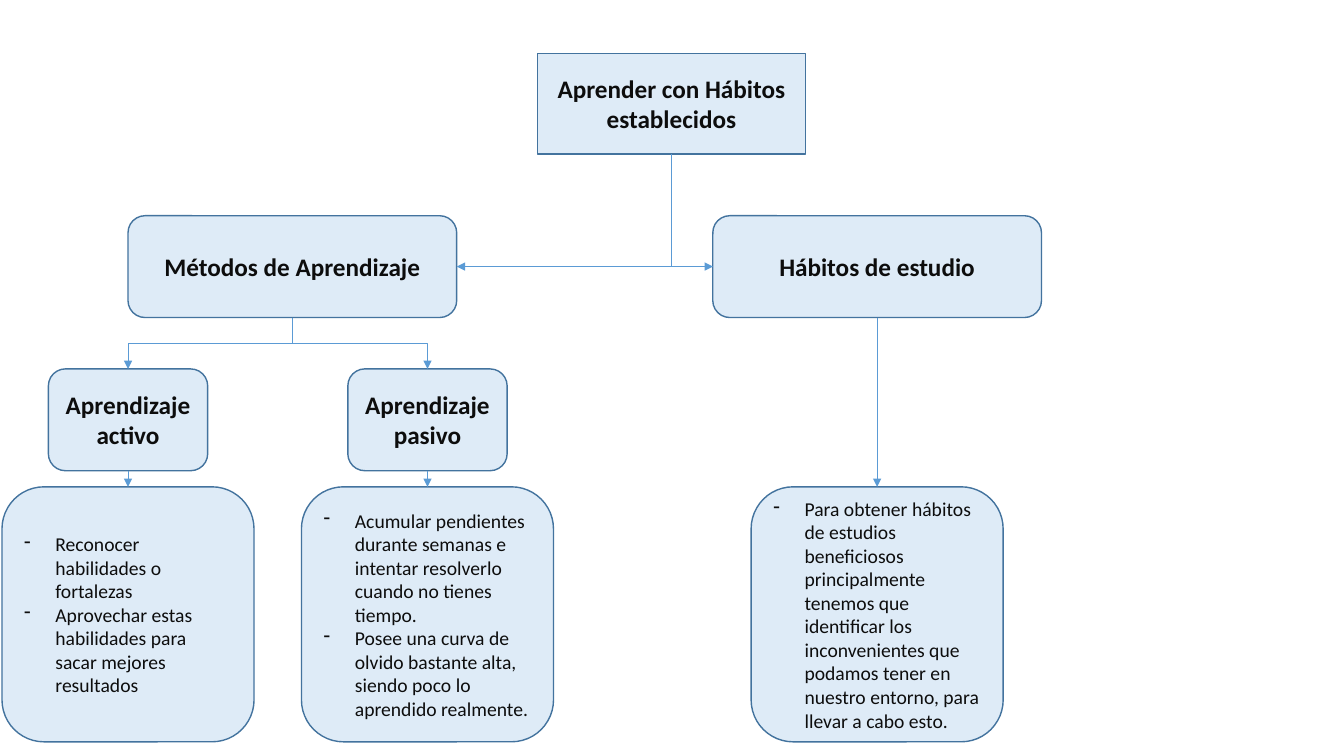
from dataclasses import dataclass

from lxml import etree
from pptx import Presentation
from pptx.dml.color import RGBColor
from pptx.enum.shapes import MSO_CONNECTOR, MSO_SHAPE
from pptx.enum.text import MSO_ANCHOR, PP_ALIGN
from pptx.oxml.ns import qn
from pptx.util import Inches, Pt

RECT, ROUNDED = MSO_SHAPE.RECTANGLE, MSO_SHAPE.ROUNDED_RECTANGLE
STRAIGHT, ELBOW = MSO_CONNECTOR.STRAIGHT, MSO_CONNECTOR.ELBOW
MIDDLE, CENTER, LEFT = MSO_ANCHOR.MIDDLE, PP_ALIGN.CENTER, PP_ALIGN.LEFT


@dataclass(frozen=True)
class Theme:
    font: str = "Calibri"
    text: RGBColor = RGBColor(0x0D, 0x0D, 0x0D)
    fill: RGBColor = RGBColor(0xDE, 0xEB, 0xF7)
    border: RGBColor = RGBColor(0x43, 0x73, 0x9E)
    arrow: RGBColor = RGBColor(0x5B, 0x9B, 0xD5)
    heading_size: int = 18
    detail_size: int = 14
    border_width: float = 1
    arrow_width: float = 0.5
    indent: float = 0.31


THEME = Theme()
SLIDE_WIDTH, SLIDE_HEIGHT = 13.33, 7.5

# level: top, width, height, outline
LEVELS = {
    "root": (0.53, 2.66, 1.0, RECT),
    "branch": (2.14, 3.26, 1.01, ROUNDED),
    "type": (3.66, 1.58, 1.01, ROUNDED),
    "detail": (4.83, 2.5, 2.53, ROUNDED),
}
COLUMNS = {"active": 1.27, "methods": 2.9, "passive": 4.24, "root": 6.66, "habits": 8.7}

NODES = {
    ("root", "root"): ["Aprender con Hábitos establecidos"],
    ("branch", "methods"): ["Métodos de Aprendizaje"],
    ("branch", "habits"): ["Hábitos de estudio"],
    ("type", "active"): ["Aprendizaje activo"],
    ("type", "passive"): ["Aprendizaje pasivo"],
    ("detail", "active"): [
        "Reconocer habilidades o fortalezas",
        "Aprovechar estas habilidades para sacar mejores resultados",
    ],
    ("detail", "passive"): [
        "Acumular pendientes durante semanas e intentar resolverlo cuando no tienes tiempo.",
        "Posee una curva de olvido bastante alta, siendo poco lo aprendido realmente.",
    ],
    ("detail", "habits"): [
        "Para obtener hábitos de estudios beneficiosos principalmente tenemos que "
        "identificar los inconvenientes que podamos tener en nuestro entorno, para "
        "llevar a cabo esto.",
    ],
}
LINKS = [
    (("root", "root"), ("branch", "methods")),
    (("root", "root"), ("branch", "habits")),
    (("branch", "methods"), ("type", "active")),
    (("branch", "methods"), ("type", "passive")),
    (("type", "active"), ("detail", "active")),
    (("type", "passive"), ("detail", "passive")),
    (("branch", "habits"), ("detail", "habits")),
]


def add_dash(paragraph):
    properties = paragraph._p.get_or_add_pPr()
    indent = Inches(THEME.indent)
    properties.set("marL", str(indent))
    properties.set("indent", str(-indent))
    etree.SubElement(properties, qn("a:buFontTx"))
    etree.SubElement(properties, qn("a:buChar")).set("char", "-")


def add_node(page, node, lines):
    level, column = node
    top, width, height, outline = LEVELS[level]
    left = COLUMNS[column] - width / 2
    box = page.shapes.add_shape(outline, *map(Inches, (left, top, width, height)))
    box.shadow.inherit = False
    box.fill.solid()
    box.fill.fore_color.rgb = THEME.fill
    box.line.color.rgb = THEME.border
    box.line.width = Pt(THEME.border_width)
    frame = box.text_frame
    frame.word_wrap = True
    frame.vertical_anchor = MIDDLE
    frame.text = "\n".join(lines)
    is_detail = level == "detail"
    for paragraph in frame.paragraphs:
        paragraph.alignment = LEFT if is_detail else CENTER
        paragraph.font.name = THEME.font
        paragraph.font.size = Pt(THEME.detail_size if is_detail else THEME.heading_size)
        paragraph.font.bold = not is_detail
        paragraph.font.color.rgb = THEME.text
        if is_detail:
            add_dash(paragraph)


def add_elbow(page, start, end, preset):
    (x1, y1), (x2, y2) = start, end
    span, drop = abs(x2 - x1), y2 - y1
    near = (x1 + x2 - drop) / 2
    far = near + drop
    top = (y1 + y2 - span) / 2
    goes_right = x2 > x1
    begin_x, end_x = (far, near) if goes_right else (near, far)
    arrow = page.shapes.add_connector(ELBOW, *map(Inches, (begin_x, top, end_x, top + span)))
    properties = arrow._element.spPr
    properties.find(qn("a:xfrm")).set("rot", str((270 if goes_right else 90) * 60000))
    properties.find(qn("a:prstGeom")).set("prst", preset)
    return arrow


def add_link(page, source, target):
    source_top, _, source_height, _ = LEVELS[source[0]]
    target_top, target_width, target_height, _ = LEVELS[target[0]]
    x1, y1 = COLUMNS[source[1]], source_top + source_height
    x2, y2 = COLUMNS[target[1]], target_top
    if x1 == x2:
        arrow = page.shapes.add_connector(STRAIGHT, *map(Inches, (x1, y1, x2, y2)))
    elif source[0] == "root":
        side = -target_width / 2 if x2 > x1 else target_width / 2
        end = (x2 + side, target_top + target_height / 2)
        arrow = add_elbow(page, (x1, y1), end, "bentConnector2")
    else:
        arrow = add_elbow(page, (x1, y1), (x2, y2), "bentConnector3")
    arrow.line.color.rgb = THEME.arrow
    arrow.line.width = Pt(THEME.arrow_width)
    etree.SubElement(arrow.line._get_or_add_ln(), qn("a:tailEnd")).set("type", "triangle")
    etree.SubElement(arrow._element.spPr, qn("a:effectLst"))


def main():
    deck = Presentation()
    deck.slide_width, deck.slide_height = Inches(SLIDE_WIDTH), Inches(SLIDE_HEIGHT)
    page = deck.slides.add_slide(deck.slide_layouts[6])
    for node, lines in NODES.items():
        add_node(page, node, lines)
    for source, target in LINKS:
        add_link(page, source, target)
    deck.save("out.pptx")


if __name__ == "__main__":
    main()
